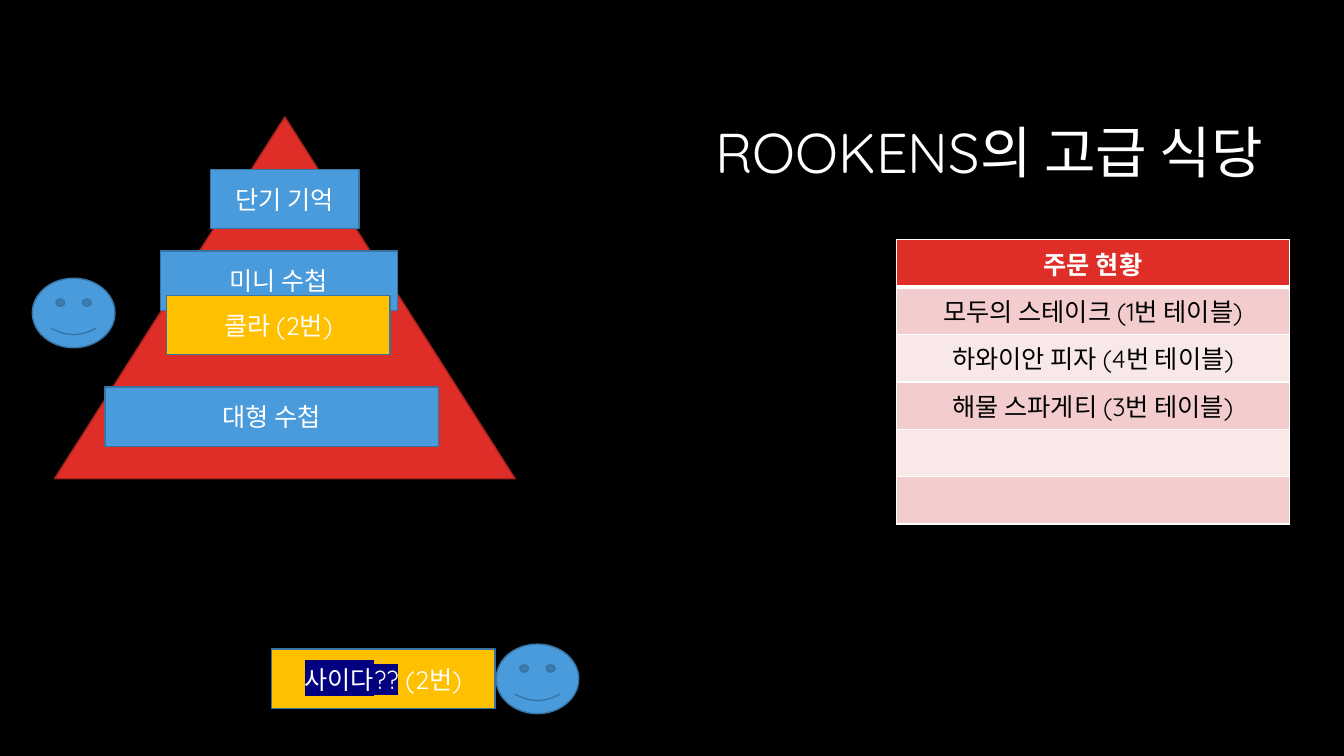
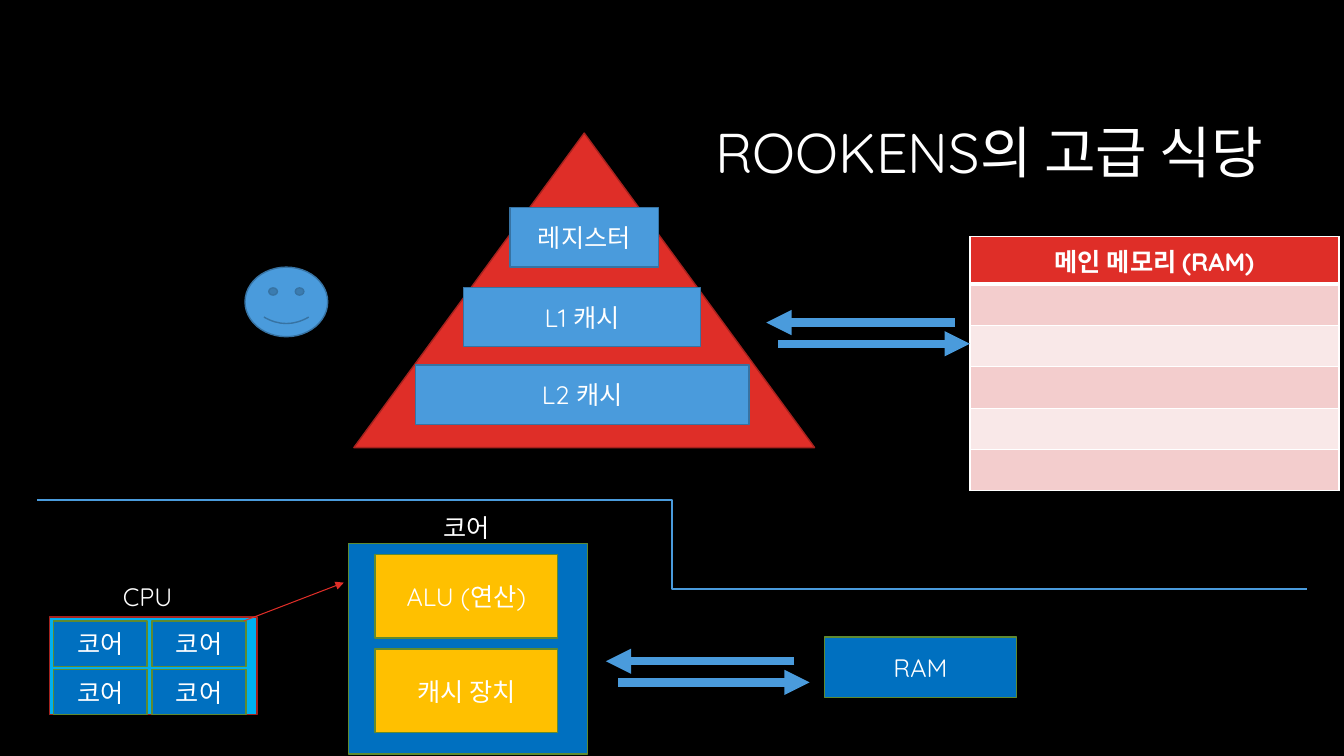
from lxml import etree
from pptx import Presentation
from pptx import util as u
from pptx.dml.color import RGBColor
from pptx.enum import shapes, text
from pptx.oxml import ns

EMU_PER_PX = 9144
COLORS = {
    "black": "000000", "white": "FFFFFF", "red": "DF2E28", "dark_red": "A5221E",
    "blue": "4A9BDC", "dark_blue": "3773A3", "sky": "00B0F0", "deep_blue": "0070C0",
    "green": "5F8A31", "yellow": "FFC000", "navy": "000080",
    "rose": "F3CDCD", "pale_rose": "F9E8E8",
}
STYLES = {
    "memory": ("blue", "dark_blue"),
    "pyramid": ("red", "dark_red"),
    "order": ("yellow", "dark_blue"),
    "chip": ("sky", "dark_red"),
    "core": ("deep_blue", "green"),
    "unit": ("yellow", "green"),
}
BODY_FONT = {"name": "Quicksand", "size": u.Pt(18), "bold": False}
TITLE_FONT = {**BODY_FONT, "size": u.Pt(40)}
HEADER_FONT = {**BODY_FONT, "bold": True}
LABEL_FRAME = {"word_wrap": False, "auto_size": text.MSO_AUTO_SIZE.SHAPE_TO_FIT_TEXT}
CENTER_FRAME = {"word_wrap": True, "vertical_anchor": text.MSO_ANCHOR.MIDDLE}
CENTERED = {"alignment": text.PP_ALIGN.CENTER}
LEVEL_WIDTHS = (147, 235, 331)
LEVEL_HEIGHT = 59
PYRAMID_WIDTH = 457
HEADER_HEIGHT = 47
TITLE = "ROOKENS의 고급 식당"


def px(*lengths):
    """Turn whole px into EMU lengths."""
    return [u.Emu(length * EMU_PER_PX) for length in lengths]


def rgb(name):
    """Look up a named colour."""
    return RGBColor.from_string(COLORS[name])


def apply(target, values):
    """Set each attribute in a dict of format values."""
    for name, value in values.items():
        setattr(target, name, value)


def write(frame, words, font=BODY_FONT, color="white", paragraph_format=CENTERED):
    """Write words into the first paragraph and return the run."""
    paragraph = frame.paragraphs[0]
    apply(paragraph, paragraph_format)
    run = paragraph.add_run()
    run.text = words
    apply(run.font, font)
    run.font.color.rgb = rgb(color)
    return run


def highlight(run, color):
    """Put a highlight colour behind a run."""
    mark = etree.Element(ns.qn("a:highlight"))
    etree.SubElement(mark, ns.qn("a:srgbClr"), val=COLORS[color])
    run.font.fill._xPr.find(ns.qn("a:latin")).addprevious(mark)


def add_text(slide, box, words, frame_format, **options):
    """Add a text box."""
    frame = slide.shapes.add_textbox(*px(*box)).text_frame
    apply(frame, frame_format)
    write(frame, words, **options)


def add_block(slide, box, style, words="", kind=shapes.MSO_SHAPE.RECTANGLE):
    """Add a filled shape in a named style, with centred words if any."""
    shape = slide.shapes.add_shape(kind, *px(*box))
    shape.shadow.inherit = False
    fill, line = STYLES[style]
    shape.fill.solid()
    shape.fill.fore_color.rgb = rgb(fill)
    shape.line.color.rgb = rgb(line)
    shape.line.width = u.Pt(1)
    apply(shape.text_frame, CENTER_FRAME)
    if words:
        write(shape.text_frame, words)
    return shape


def add_line(slide, ends, color, width, arrow=True, kind=shapes.MSO_CONNECTOR.STRAIGHT):
    """Add a connector, with an arrowhead at its end by default."""
    connector = slide.shapes.add_connector(kind, *px(*ends))
    connector.line.color.rgb = rgb(color)
    connector.line.width = u.Pt(width)
    if arrow:
        etree.SubElement(connector.line._get_or_add_ln(), ns.qn("a:tailEnd"), type="triangle")
    etree.SubElement(connector._element.spPr, ns.qn("a:effectLst"))


def add_face(slide, left, top):
    """Add a smiling worker."""
    add_block(slide, (left, top, 82, 69), "memory", kind=shapes.MSO_SHAPE.SMILEY_FACE)


def add_pyramid(slide, left, top, height, levels):
    """Add a pyramid whose levels are (words, x offset, y offset)."""
    add_block(slide, (left, top, PYRAMID_WIDTH, height), "pyramid",
              kind=shapes.MSO_SHAPE.ISOSCELES_TRIANGLE)
    for (words, x, y), width in zip(levels, LEVEL_WIDTHS):
        add_block(slide, (left + x, top + y, width, LEVEL_HEIGHT), "memory", words)


def add_exchange(slide, left, top):
    """Add a pair of opposite thick arrows."""
    add_line(slide, (left + 12, top + 21, left + 202, top + 21), "blue", 6)
    add_line(slide, (left + 187, top, left, top), "blue", 6)


def add_order(slide, left, top, words=""):
    """Add an order slip."""
    return add_block(slide, (left, top, 222, LEVEL_HEIGHT), "order", words)


def add_borders(cell, bottom_width):
    """Draw white borders around a cell."""
    properties = cell._tc.get_or_add_tcPr()
    for side, width in (("L", 1), ("R", 1), ("T", 1), ("B", bottom_width)):
        line = etree.SubElement(properties, ns.qn(f"a:ln{side}"), w=str(u.Pt(width)))
        fill = etree.SubElement(line, ns.qn("a:solidFill"))
        etree.SubElement(fill, ns.qn("a:srgbClr"), val=COLORS["white"])


def add_list(slide, left, top, width, row_height, rows):
    """Add a one-column table with a header and shaded rows."""
    height = HEADER_HEIGHT + row_height * (len(rows) - 1)
    table = slide.shapes.add_table(len(rows), 1, *px(left, top, width, height)).table
    table.horz_banding = False
    for index, words in enumerate(rows):
        header = index == 0
        table.rows[index].height = px(HEADER_HEIGHT if header else row_height)[0]
        cell = table.cell(index, 0)
        add_borders(cell, 3 if header else 1)
        cell.fill.solid()
        cell.fill.fore_color.rgb = rgb("red" if header else ("pale_rose", "rose")[index % 2])
        if words:
            write(cell.text_frame, words, HEADER_FONT if header else BODY_FONT,
                  "white" if header else "black")


def add_cpu(slide, left, top):
    """Add a labelled processor with a grid of four cores."""
    add_block(slide, (left, top, 206, 97), "chip")
    for row in range(2):
        for column in range(2):
            box = (left + 4 + 98 * column, top + 4 + 48 * row, 93, 45)
            add_block(slide, box, "core", "코어")
    add_text(slide, (left + 63, top - 40, 79, 40), "CPU", LABEL_FRAME, paragraph_format={})


def add_core(slide, left, top):
    """Add a labelled core with its stacked units."""
    add_block(slide, (left, top, 237, 209), "core")
    for index, words in enumerate(("ALU (연산)", "캐시 장치")):
        add_block(slide, (left + 26, top + 11 + 94 * index, 181, 83), "unit", words)
    add_text(slide, (left + 84, top - 36, 71, 40), "코어", LABEL_FRAME, paragraph_format={})


def add_base(presentation):
    """Add a black slide with the shared title."""
    slide = presentation.slides.add_slide(presentation.slide_layouts[6])
    slide.background.fill.solid()
    slide.background.fill.fore_color.rgb = rgb("black")
    add_text(slide, (177, 84, 1085, 141), TITLE, CENTER_FRAME, font=TITLE_FONT,
             paragraph_format={"alignment": text.PP_ALIGN.RIGHT, "line_spacing": 0.9})
    return slide


def build_restaurant(presentation):
    """Build the slide with the restaurant's notes and orders."""
    slide = add_base(presentation)
    add_face(slide, 32, 276)
    add_list(slide, 889, 238, 390, 47, (
        "주문 현황", "모두의 스테이크 (1번 테이블)", "하와이안 피자 (4번 테이블)",
        "해물 스파게티 (3번 테이블)", "", ""))
    add_pyramid(slide, 54, 116, 359, (
        ("단기 기억", 155, 52), ("미니 수첩", 105, 133), ("대형 수첩", 50, 268)))
    add_face(slide, 492, 639)
    question = add_order(slide, 269, 644)
    highlight(write(question.text_frame, "사이다??"), "navy")
    write(question.text_frame, " (2번)")
    add_order(slide, 165, 293, "콜라 (2번)")


def build_computer(presentation):
    """Build the slide with the memory hierarchy and the processor."""
    slide = add_base(presentation)
    add_face(slide, 243, 265)
    add_list(slide, 962, 235, 366, 41, ("메인 메모리 (RAM)", "", "", "", "", ""))
    add_pyramid(slide, 351, 132, 312, (
        ("레지스터", 155, 74), ("L1 캐시", 109, 153), ("L2 캐시", 61, 230)))
    add_exchange(slide, 760, 320)
    add_cpu(slide, 49, 612)
    add_core(slide, 346, 539)
    add_line(slide, (242, 616, 341, 578), "red", 0.75)
    add_block(slide, (818, 632, 190, 60), "core", "RAM")
    add_line(slide, (37, 496, 1296, 584), "blue", 1.5, False, shapes.MSO_CONNECTOR.ELBOW)
    add_exchange(slide, 601, 656)


def main():
    """Build and save the presentation."""
    presentation = Presentation()
    presentation.slide_width, presentation.slide_height = px(1333, 750)
    build_restaurant(presentation)
    build_computer(presentation)
    presentation.save("out.pptx")


if __name__ == "__main__":
    main()
